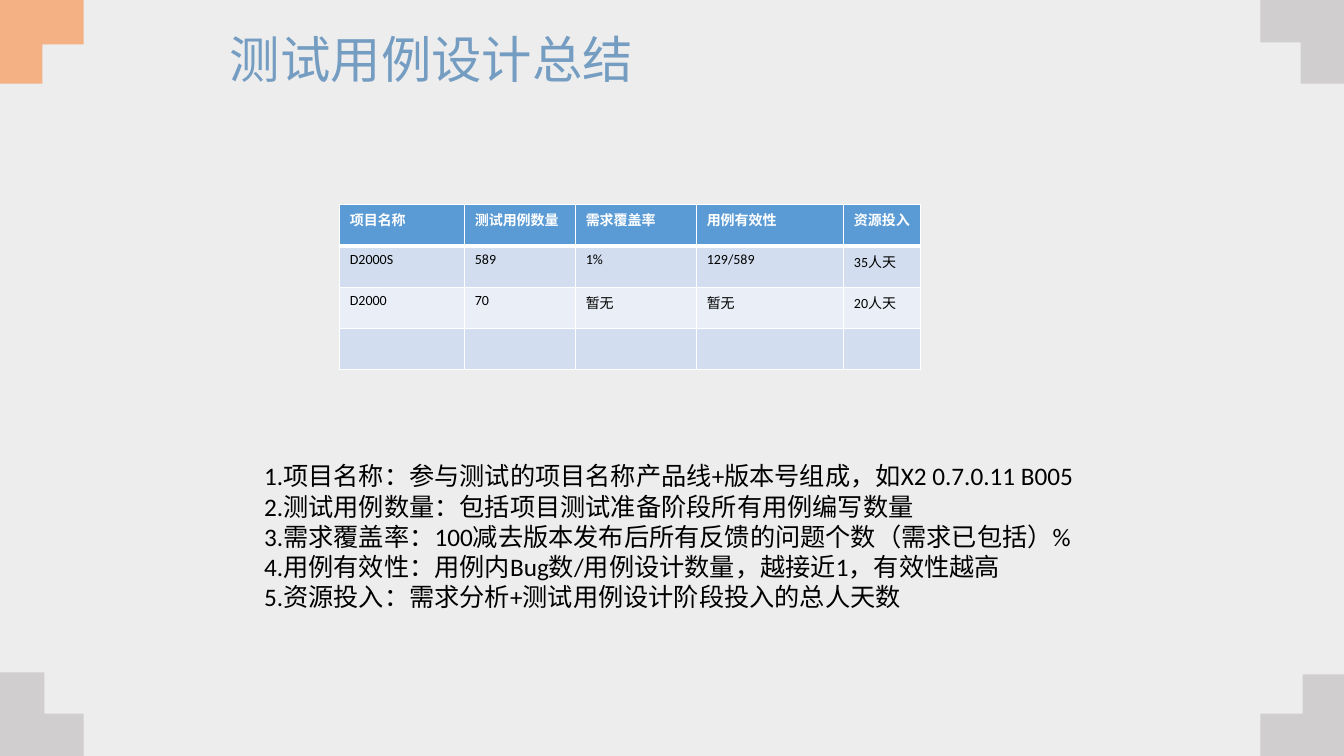
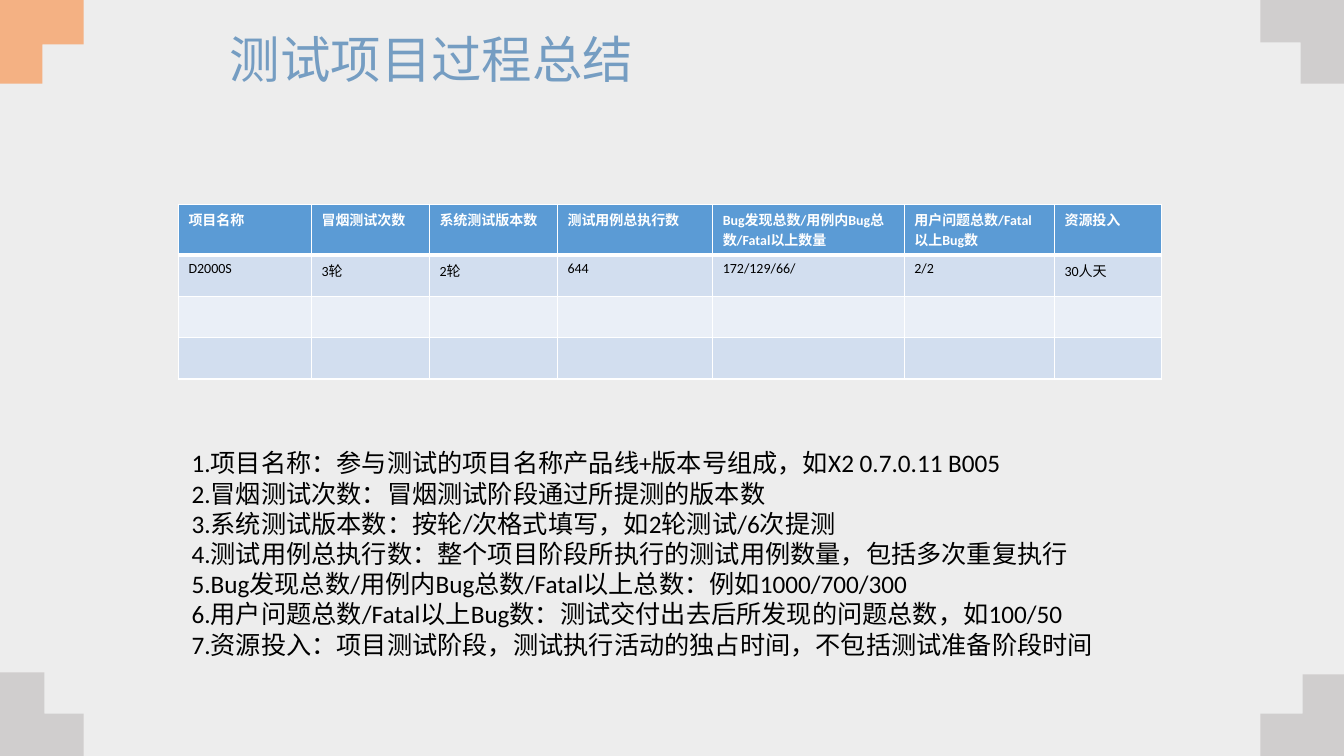
import pptx
import pptx.util
import pptx.dml.color
import pptx.enum.text
import pptx.oxml
import pptx.oxml.ns

Inches = pptx.util.Inches
Pt = pptx.util.Pt

WIDTH, HEIGHT = 13.33, 7.5
BACKGROUND = "EDEDED"
GREY, ORANGE = "D0CECE", "F4B183"
HEADER_FILL = "5B9BD5"
ROW_FILLS = ("D2DEEF", "EAEFF7")
BORDER = "FFFFFF"
CJK_FONT = "Noto Sans CJK SC"
ROW_HEIGHT = 0.41
TABLE_TOP = 2.03
TITLE_BOX = (2.18, 0.28, 8.98, 0.67)

TITLE_STYLE = {"size": Pt(36), "name": CJK_FONT, "color": "759DC2"}
NOTE_STYLE = {"size": Pt(18), "name": "Calibri", "color": "000000"}
HEADER_STYLE = {"size": Pt(10), "name": "Calibri", "bold": True, "color": "FFFFFF"}
CELL_STYLE = {"size": Pt(10), "name": "Calibri", "bold": False, "color": "000000"}

CORNERS = [
    {"x": 0, "y": HEIGHT, "right": 1, "down": -1, "reach": 0.83, "arm": (0.44, 0.42), "color": GREY},
    {"x": 0, "y": 0, "right": 1, "down": 1, "reach": 0.83, "arm": (0.42, 0.44), "color": ORANGE},
    {"x": WIDTH, "y": 0, "right": -1, "down": 1, "reach": 0.83, "arm": (0.43, 0.42), "color": GREY},
    {"x": WIDTH, "y": HEIGHT, "right": -1, "down": -1, "reach": 0.81, "arm": (0.41, 0.42), "color": GREY},
]

PAGES = [
    {
        "title": "测试用例设计总结",
        "table_left": 3.37,
        "columns": [1.24, 1.1, 1.2, 1.46, 0.76],
        "rows": [
            ["项目名称", "测试用例数量", "需求覆盖率", "用例有效性", "资源投入"],
            ["D2000S", "589", "1%", "129/589", "35人天"],
            ["D2000", "70", "暂无", "暂无", "20人天"],
            [""] * 5,
        ],
        "notes_box": (2.52, 4.52, 8.3, 2.2),
        "notes": [
            "1.项目名称：参与测试的项目名称产品线+版本号组成，如X2 0.7.0.11 B005",
            "2.测试用例数量：包括项目测试准备阶段所有用例编写数量",
            "3.需求覆盖率：100减去版本发布后所有反馈的问题个数（需求已包括）%",
            "4.用例有效性：用例内Bug数/用例设计数量，越接近1，有效性越高",
            "5.资源投入：需求分析+测试用例设计阶段投入的总人天数",
        ],
    },
    {
        "title": "测试项目过程总结",
        "table_left": 1.77,
        "columns": [1.32, 1.17, 1.27, 1.54, 1.9, 1.49, 1.06],
        "rows": [
            ["项目名称", "冒烟测试次数", "系统测试版本数", "测试用例总执行数",
             "Bug发现总数/用例内Bug总数/Fatal以上数量", "用户问题总数/Fatal以上Bug数", "资源投入"],
            ["D2000S", "3轮", "2轮", "644", "172/129/66/", "2/2", "30人天"],
            [""] * 7,
            [""] * 7,
        ],
        "notes_box": (1.8, 4.39, 9.25, 2.22),
        "notes": [
            "1.项目名称：参与测试的项目名称产品线+版本号组成，如X2 0.7.0.11 B005",
            "2.冒烟测试次数：冒烟测试阶段通过所提测的版本数",
            "3.系统测试版本数：按轮/次格式填写，如2轮测试/6次提测",
            "4.测试用例总执行数：整个项目阶段所执行的测试用例数量，包括多次重复执行",
            "5.Bug发现总数/用例内Bug总数/Fatal以上总数：例如1000/700/300",
            "6.用户问题总数/Fatal以上Bug数：测试交付出去后所发现的问题总数，如100/50",
            "7.资源投入：项目测试阶段，测试执行活动的独占时间，不包括测试准备阶段时间",
        ],
    },
]


def paint(fill, color):
    fill.solid()
    fill.fore_color.rgb = pptx.dml.color.RGBColor.from_string(color)


def place(shape, box):
    for name, value in zip(("left", "top", "width", "height"), box):
        setattr(shape, name, Inches(value))


def write(para, text, style):
    span = para.add_run()
    span.text = text
    for name, value in style.items():
        if name == "color":
            paint(span.font.fill, value)
        else:
            setattr(span.font, name, value)
    properties = span._r.get_or_add_rPr()
    properties.set("lang", "zh-CN")
    east_asian = pptx.oxml.parse_xml(
        f'<a:ea {pptx.oxml.ns.nsdecls("a")} typeface="{CJK_FONT}"/>')
    properties.append(east_asian)


def format_frame(frame, anchor):
    settings = {
        "word_wrap": True,
        "auto_size": pptx.enum.text.MSO_AUTO_SIZE.NONE,
        "vertical_anchor": anchor,
    }
    for name, value in settings.items():
        setattr(frame, name, value)


def add_corners(page, layout):
    for number, corner in enumerate(CORNERS):
        reach = corner["reach"]
        arm_width, arm_height = corner["arm"]
        offsets = [(0, 0), (0.83, 0), (0.83, arm_height),
                   (arm_width, arm_height), (arm_width, reach), (0, reach)]
        points = [(Inches(corner["x"] + corner["right"] * across),
                   Inches(corner["y"] + corner["down"] * along))
                  for across, along in offsets]
        builder = page.shapes.build_freeform(*points[0])
        builder.add_line_segments(points[1:], close=True)
        shape = builder.convert_to_shape()
        shape.name = f"Corner {number + 1}"
        shape.shadow.inherit = False
        paint(shape.fill, corner["color"])
        shape.line.fill.background()
        shape.element.nvSpPr.cNvPr.set("id", str(100 + number))
        layout.shapes.element.append(shape.element)


def add_title(page, text):
    box = page.shapes.title
    format_frame(box.text_frame, pptx.enum.text.MSO_ANCHOR.MIDDLE)
    para = box.text_frame.paragraphs[0]
    para.alignment = pptx.enum.text.PP_ALIGN.LEFT
    para.line_spacing = 0.9
    write(para, text, TITLE_STYLE)


def add_border(cell, side, width):
    line = pptx.oxml.parse_xml(
        f'<a:{side} {pptx.oxml.ns.nsdecls("a")} w="{Pt(width)}">'
        f'<a:solidFill><a:srgbClr val="{BORDER}"/></a:solidFill></a:{side}>')
    cell._tc.get_or_add_tcPr().append(line)


def add_table(page, content):
    rows, columns = content["rows"], content["columns"]
    frame = page.shapes.add_table(
        len(rows), len(columns), Inches(content["table_left"]), Inches(TABLE_TOP),
        Inches(sum(columns)), Inches(ROW_HEIGHT * len(rows)))
    table = frame.table
    for column, width in zip(table.columns, columns):
        column.width = Inches(width)
    for index, texts in enumerate(rows):
        table.rows[index].height = Inches(ROW_HEIGHT)
        fill = ROW_FILLS[(index - 1) % 2] if index else HEADER_FILL
        style = CELL_STYLE if index else HEADER_STYLE
        widths = {"lnL": 1, "lnR": 1, "lnT": 3 if index == 1 else 1,
                  "lnB": 1 if index else 3}
        for cell, text in zip(table.rows[index].cells, texts):
            for side, width in widths.items():
                add_border(cell, side, width)
            paint(cell.fill, fill)
            if text:
                write(cell.text_frame.paragraphs[0], text, style)


def add_notes(page, content):
    box = page.placeholders[1]
    place(box, content["notes_box"])
    frame = box.text_frame
    format_frame(frame, pptx.enum.text.MSO_ANCHOR.TOP)
    for index, text in enumerate(content["notes"]):
        para = frame.add_paragraph() if index else frame.paragraphs[0]
        para.space_before = Pt(0)
        properties = para._p.get_or_add_pPr()
        for name in ("marL", "indent"):
            properties.set(name, "0")
        properties.append(pptx.oxml.parse_xml(
            f'<a:buNone {pptx.oxml.ns.nsdecls("a")}/>'))
        write(para, text, NOTE_STYLE)


def main():
    deck = pptx.Presentation()
    deck.slide_width, deck.slide_height = Inches(WIDTH), Inches(HEIGHT)
    paint(deck.slide_master.background.fill, BACKGROUND)
    layout = deck.slide_layouts[1]
    place(layout.placeholders[0], TITLE_BOX)
    for index, content in enumerate(PAGES):
        page = deck.slides.add_slide(layout)
        if index == 0:
            add_corners(page, layout)
        add_title(page, content["title"])
        add_table(page, content)
        add_notes(page, content)
    deck.save("out.pptx")


if __name__ == "__main__":
    main()
